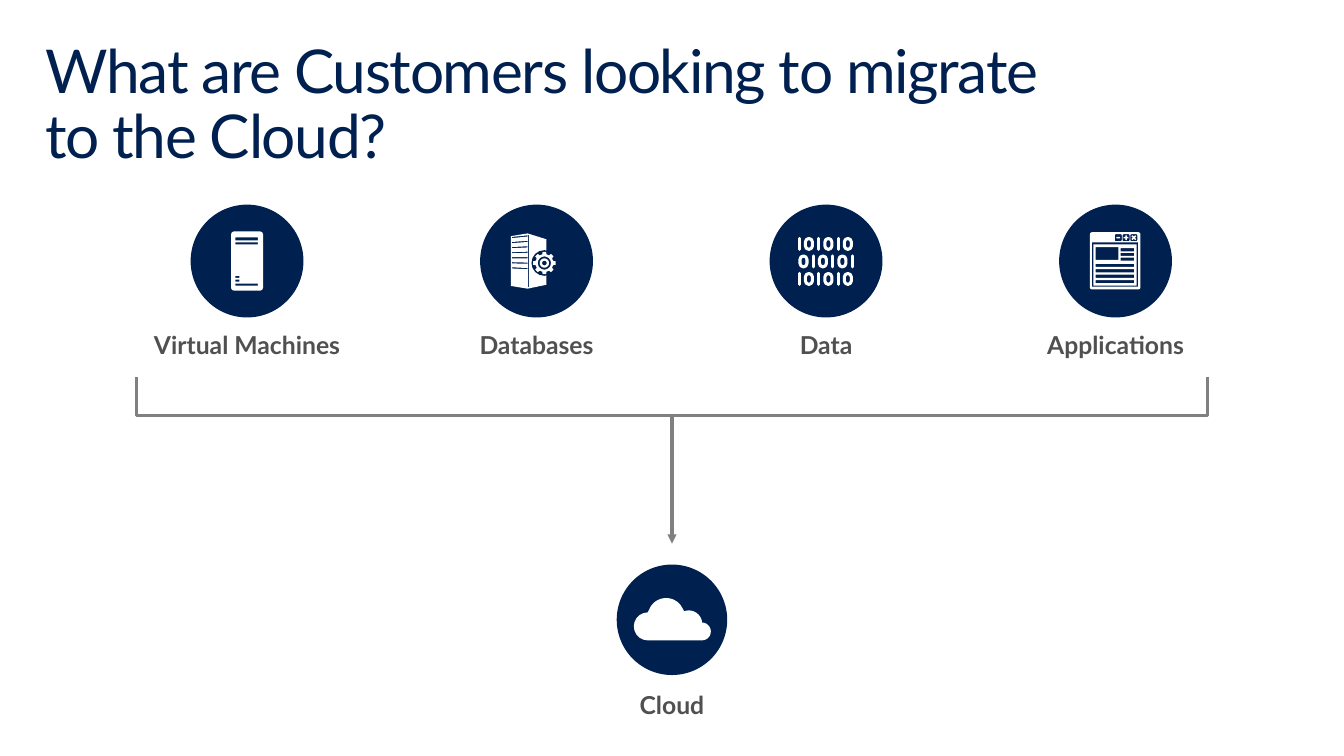
from math import cos, radians, sin

from lxml import etree
from pptx import Presentation
from pptx.dml.color import RGBColor
from pptx.enum import shapes, text
from pptx.oxml import ns
from pptx.util import Cm, Pt

NAVY = RGBColor(0x00, 0x20, 0x50)
DARK_GREY = RGBColor(0x50, 0x50, 0x50)
LINE_GREY = RGBColor(0x80, 0x80, 0x80)
WHITE = RGBColor(0xFF, 0xFF, 0xFF)
FONT = "Lato"

# Content: label, label width and icon name (lengths in cm)
TITLE = "What are Customers looking to migrate\vto the Cloud?"
SOURCES = [
    ("Virtual Machines", 5.08, "server"),
    ("Databases", 3.05, "database"),
    ("Data", 1.4, "binary"),
    ("Applications", 3.76, "browser"),
]
TARGET = ("Cloud", 1.75, "cloud")
BINARY_ROWS = [(-0.69, "101010"), (-0.58, "010101"), (-0.69, "101010")]

# Layout in cm
PAGE_W, PAGE_H = 34.54, 19.43
MIDDLE = PAGE_W / 2
FIRST_X, STEP_X, SOURCE_Y, SOURCE_D = 6.35, 7.44, 6.71, 2.9
TARGET_Y, TARGET_D = 15.93, 2.84
SOURCE_LABEL_Y, TARGET_LABEL_Y, LABEL_H = 8.56, 17.81, 0.69
BRACKET_HALF, BRACKET_TOP, BRACKET_BOTTOM, ARROW_END = 13.77, 9.7, 10.67, 13.97
STROKE = 2.25


# Outlines, as points in cm around the centre of a circle
def arc(x, y, r, start, end, steps=2):
    angles = [radians(start + (end - start) * i / steps) for i in range(steps + 1)]
    return [(x + r * cos(a), y + r * sin(a)) for a in angles]


def rounded(x, y, w, h, r=0):
    if not r:
        return [(x, y), (x + w, y), (x + w, y + h), (x, y + h)]
    left, right, top, bottom = x + r, x + w - r, y + r, y + h - r
    return (arc(left, top, r, 180, 270) + arc(right, top, r, 270, 360)
            + arc(right, bottom, r, 0, 90) + arc(left, bottom, r, 90, 180))


def disc(x, y, r):
    return arc(x, y, r, 0, 360, 16)[:-1]


def plus(x, y, arm, half, turn):
    points = []
    for quarter in range(4):
        a = radians(turn + 90 * quarter)
        for u, v in [(arm, -half), (arm, half), (half, half)]:
            points.append((x + u * cos(a) - v * sin(a), y + u * sin(a) + v * cos(a)))
    return points


def gear(x, y, inner, outer, teeth=8):
    turn = 360 / teeth
    return [(x + r * cos(radians(turn * (tooth + share))),
             y + r * sin(radians(turn * (tooth + share))))
            for tooth in range(teeth)
            for share, r in [(-0.3, inner), (-0.2, outer), (0.2, outer), (0.3, inner)]]


# Icons: layers of (format, colour, outlines); an outline inside another cuts a hole
def server_icon():
    slots = [(-0.61, 0.58, 0.08), (-0.48, 0.58, 0.05), (0.38, 0.1, 0.05),
             (0.48, 0.1, 0.05), (0.58, 0.58, 0.05)]
    body = rounded(-0.41, -0.76, 0.82, 1.52, 0.07)
    return [("fill", WHITE, [body] + [rounded(-0.3, y, w, h) for y, w, h in slots])]


def database_icon():
    x, y = 0.2, 0.05
    cabinet = [[(-0.23, -0.71), (0.25, -0.56), (0.25, 0.61),
                (-0.23, 0.71), (-0.66, 0.64), (-0.66, -0.64)],
               rounded(-0.22, -0.67, 0.02, 1.34)]
    for shelf in range(7):
        left, right = -0.62 + 0.13 * shelf, -0.66 + 0.14 * shelf
        cabinet.append([(-0.63, left), (-0.23, right),
                        (-0.23, right + 0.03), (-0.63, left + 0.03)])
    wheel = [gear(x, y, 0.23, 0.29)] + [disc(x, y, r) for r in (0.17, 0.12, 0.06)]
    return [("fill", WHITE, cabinet), ("fill", NAVY, [disc(x, y, 0.33)]),
            ("fill", WHITE, wheel)]


def binary_icon():
    digits = []
    for row, (start, bits) in enumerate(BINARY_ROWS):
        y = -0.58 + 0.45 * row
        for column, bit in enumerate(bits):
            x = start + 0.25 * column
            if bit == "1":
                digits.append([(x, y), (x, y + 0.28)])
            else:
                digits.append(rounded(x - 0.09, y, 0.18, 0.28, 0.09))
    return [("line", WHITE, digits)]


def browser_icon():
    window = [rounded(-0.66, -0.74, 1.3, 1.47, 0.05), rounded(-0.61, -0.48, 1.19, 1.14),
              rounded(-0.57, -0.43, 1.11, 1.06), rounded(-0.51, -0.36, 0.58, 0.33)]
    window += [rounded(0.13, -0.33 + 0.12 * i, 0.35, 0.08) for i in range(3)]
    window += [rounded(-0.51, 0.07 + 0.14 * i, 0.99, 0.08) for i in range(4)]
    window += [rounded(-0.02 + 0.2 * i, -0.69, 0.18, 0.18, 0.03) for i in range(3)]
    window += [rounded(0.02, -0.62, 0.1, 0.04), plus(0.27, -0.6, 0.06, 0.02, 0),
               plus(0.47, -0.6, 0.07, 0.02, 45)]
    return [("fill", WHITE, window)]


def cloud_icon():
    lobes = [(-0.62, 0.17, 0.36, 90, 270), (-0.15, -0.09, 0.47, 200, 335),
             (0.43, 0.11, 0.35, 250, 355), (0.77, 0.3, 0.23, 270, 450)]
    return [("fill", WHITE, [[point for lobe in lobes for point in arc(*lobe, steps=10)]])]


ICONS = {"server": server_icon, "database": database_icon, "binary": binary_icon,
         "browser": browser_icon, "cloud": cloud_icon}


# Drawing
def add_text(page, content, left, top, width, height, *, size, color, bold=False,
             align=text.PP_ALIGN.LEFT, inset=(0, 0), wrap=False, after=0, tracking=0):
    box = page.shapes.add_textbox(Cm(left), Cm(top), Cm(width), Cm(height))
    frame = box.text_frame
    frame.word_wrap = wrap
    frame.margin_left = frame.margin_right = Cm(inset[0])
    frame.margin_top = frame.margin_bottom = Cm(inset[1])
    para = frame.paragraphs[0]
    para.text = content
    para.alignment = align
    para.line_spacing = 0.9
    para.space_after = Pt(after)
    for span in para.runs:
        span.font.name, span.font.size, span.font.bold = FONT, Pt(size), bold
        span.font.color.rgb = color
        if tracking:
            span._r.get_or_add_rPr().set("spc", str(tracking * 100))


def add_outline(page, outlines, x=0, y=0, closed=True):
    placed = [[(Cm(x + u), Cm(y + v)) for u, v in outline] for outline in outlines]
    builder = page.shapes.build_freeform(*placed[0][0])
    for number, points in enumerate(placed):
        if number:
            builder.move_to(*points[0])
        builder.add_line_segments(points[1:], close=closed)
    shape = builder.convert_to_shape()
    shape.shadow.inherit = False
    return shape


def paint(shape, color):
    shape.fill.solid()
    shape.fill.fore_color.rgb = color
    shape.line.fill.background()


def stroke(shape, color):
    shape.line.color.rgb = color
    shape.line.width = Pt(STROKE)


def add_item(page, item, x, y, diameter, label_y):
    label, width, icon = item
    circle = page.shapes.add_shape(shapes.MSO_SHAPE.OVAL, Cm(x - diameter / 2),
                                   Cm(y - diameter / 2), Cm(diameter), Cm(diameter))
    circle.shadow.inherit = False
    paint(circle, NAVY)
    for style, color, outlines in ICONS[icon]():
        layer = add_outline(page, outlines, x, y)
        if style == "fill":
            paint(layer, color)
        else:
            layer.fill.background()
            stroke(layer, color)
    add_text(page, label, x - width / 2, label_y, width, LABEL_H, size=18,
             color=DARK_GREY, bold=True, align=text.PP_ALIGN.CENTER, after=6)


def add_flow(page):
    left, right = MIDDLE - BRACKET_HALF, MIDDLE + BRACKET_HALF
    bracket = add_outline(page, [[(right, BRACKET_TOP), (right, BRACKET_BOTTOM),
                                  (left, BRACKET_BOTTOM), (left, BRACKET_TOP)]], closed=False)
    bracket.fill.background()
    stroke(bracket, LINE_GREY)
    arrow = page.shapes.add_connector(shapes.MSO_CONNECTOR.STRAIGHT, Cm(MIDDLE),
                                      Cm(BRACKET_BOTTOM), Cm(MIDDLE), Cm(ARROW_END))
    stroke(arrow, LINE_GREY)
    etree.SubElement(arrow.line._get_or_add_ln(), ns.qn("a:tailEnd"), type="triangle")
    etree.SubElement(arrow._element.spPr, ns.qn("a:effectLst"))


def main():
    deck = Presentation()
    deck.slide_width, deck.slide_height = Cm(PAGE_W), Cm(PAGE_H)
    page = deck.slides.add_slide(deck.slide_layouts[6])
    add_text(page, TITLE, 0.76, 0.81, 33.02, 2.29, size=44, color=NAVY,
             inset=(0.41, 0.25), wrap=True, tracking=-1)
    add_flow(page)
    for number, item in enumerate(SOURCES):
        add_item(page, item, FIRST_X + STEP_X * number, SOURCE_Y, SOURCE_D, SOURCE_LABEL_Y)
    add_item(page, TARGET, MIDDLE, TARGET_Y, TARGET_D, TARGET_LABEL_Y)
    deck.save("out.pptx")


if __name__ == "__main__":
    main()
